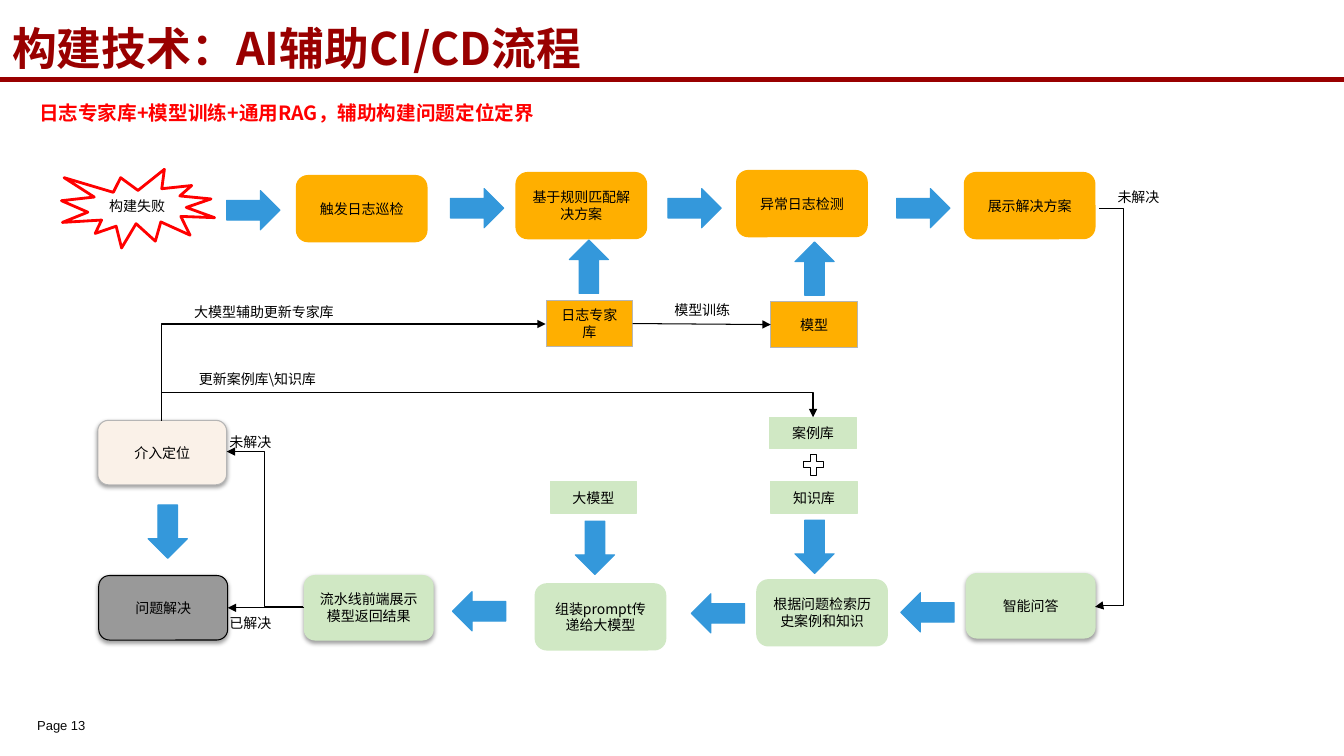
from dataclasses import dataclass

from lxml.etree import SubElement
from pptx import Presentation
from pptx.dml.color import RGBColor
from pptx.enum.shapes import MSO_CONNECTOR as LINE, MSO_SHAPE as KIND
from pptx.enum.text import MSO_ANCHOR, MSO_AUTO_SIZE, PP_ALIGN
from pptx.oxml.ns import qn
from pptx.util import Pt

PX = 9144  # 100 px to the inch
FACE = "Noto Sans CJK SC"
ORANGE, GREEN, BLUE = "FFAF00", "D0E8C4", "3498DB"
GREY, BLACK, RED, MAROON = "B5B5B5", "000000", "FF0000", "990000"


@dataclass
class Box:
    text: str
    left: int
    top: int
    fill: str | None
    edge: str
    wide: int = 128
    high: int = 64
    kind: KIND = KIND.ROUNDED_RECTANGLE
    weight: float = 0.75
    shade: bool = False


@dataclass
class Arrow:
    left: int
    top: int
    turn: int = 0


@dataclass
class Label:
    text: str
    left: int
    top: int
    wide: int


@dataclass
class Elbow:
    """Ends are given before the turn; bends are fractions of the span."""
    preset: str
    start: tuple[int, int]
    end: tuple[int, int]
    turn: int
    bends: tuple[float, ...] = ()


BOXES = [
    Box("构建失败", 61, 168, None, RED, 152, 78, KIND.EXPLOSION1, 2),
    # Rule-based row
    Box("触发日志巡检", 295, 175, ORANGE, ORANGE, weight=2),
    Box("基于规则匹配解决方案", 513, 172, ORANGE, ORANGE, weight=2),
    Box("异常日志检测", 732, 170, ORANGE, ORANGE, weight=2),
    Box("展示解决方案", 958, 172, ORANGE, ORANGE, weight=2),
    # Sources
    Box("日志专家库", 542, 298, ORANGE, GREY, 86, 46, KIND.RECTANGLE),
    Box("模型", 765, 299, ORANGE, GREY, 86, 46, KIND.RECTANGLE),
    Box("案例库", 764, 414, GREEN, GREEN, 86, 31, KIND.RECTANGLE),
    Box("", 794, 447, None, BLACK, 27, 28, KIND.MATH_PLUS),
    Box("知识库", 765, 478, GREEN, GREEN, 86, 31, KIND.RECTANGLE),
    Box("大模型", 546, 478, GREEN, GREEN, 86, 31, KIND.RECTANGLE),
    # Model-based row
    Box("智能问答", 959, 569, GREEN, GREEN, shade=True),
    Box("根据问题检索历史案例和知识", 752, 576, GREEN, GREEN, weight=2),
    Box("组装prompt传递给大模型", 532, 580, GREEN, GREEN, weight=2),
    Box("流水线前端展示模型返回结果", 302, 571, GREEN, GREEN, shade=True),
    # Outcome
    Box("介入定位", 97, 417, "FAF1E8", GREY, shade=True),
    Box("问题解决", 98, 571, "999999", BLACK, shade=True),
]

ARROWS = [
    Arrow(225, 189), Arrow(447, 187), Arrow(663, 187), Arrow(890, 187),
    Arrow(558, 245, 270), Arrow(782, 247, 270),
    Arrow(782, 523, 90), Arrow(564, 524, 90), Arrow(140, 508, 90),
    Arrow(894, 588, 180), Arrow(686, 589, 180), Arrow(449, 587, 180),
]

LABELS = [
    Label("未解决", 217, 425, 63),
    Label("已解决", 217, 605, 63),
    Label("更新案例库\\知识库", 164, 363, 183),
    Label("大模型辅助更新专家库", 174, 296, 176),
    Label("模型训练", 649, 294, 96),
    Label("未解决", 1082, 182, 96),
]

ELBOWS = [
    Elbow("bentConnector2", (399, 560), (303, 179), 90),
    Elbow("bentConnector3", (485, 739), (482, 92), 90, (28 / 3,)),
    Elbow("bentConnector3", (225, 448), (301, 602), 180, (0.5,)),
    Elbow("bentConnector4", (1091, 207), (1087, 602), 0, (-6, 0.997)),
]


def paint(color: str) -> RGBColor:
    return RGBColor.from_string(color)


def write(frame, text: str, size: float = 10, color: str = BLACK,
          align=PP_ALIGN.CENTER, face: str = FACE, bold: bool = False) -> None:
    frame.word_wrap = True
    frame.text = text
    para = frame.paragraphs[0]
    para.alignment = align
    font = para.font
    font.size, font.bold, font.name = Pt(size), bold, face
    font.color.rgb = paint(color)
    SubElement(font._element, qn("a:ea"), typeface=face)


def place(slide, left: int, top: int, wide: int, high: int):
    area = (left * PX, top * PX, wide * PX, high * PX)
    return slide.shapes.add_textbox(*area).text_frame


def draw(slide, box: Box, turn: int = 0):
    shape = slide.shapes.add_shape(box.kind, box.left * PX, box.top * PX,
                                   box.wide * PX, box.high * PX)
    shape.rotation = turn
    shape.shadow.inherit = False
    if box.fill:
        shape.fill.solid()
        shape.fill.fore_color.rgb = paint(box.fill)
    else:
        shape.fill.background()
    shape.line.color.rgb = paint(box.edge)
    shape.line.width = Pt(box.weight)
    if box.shade:
        effect = shape._element.spPr.find(qn("a:effectLst"))
        cast = SubElement(effect, qn("a:outerShdw"), blurRad="40000",
                          dist="20000", dir="5400000", rotWithShape="0")
        tint = SubElement(cast, qn("a:srgbClr"), val=BLACK)
        SubElement(tint, qn("a:alpha"), val="38000")
    if box.text:
        write(shape.text_frame, box.text)
    return shape


def link(slide, kind, start: tuple[int, int], end: tuple[int, int],
         color: str = BLACK, weight: float = 0.75, head: bool = True):
    line = slide.shapes.add_connector(kind, *(n * PX for n in start + end))
    line.line.color.rgb = paint(color)
    line.line.width = Pt(weight)
    if head:
        SubElement(line.line._get_or_add_ln(), qn("a:tailEnd"), type="triangle")
    SubElement(line._element.spPr, qn("a:effectLst"))
    return line


def bend(slide, elbow: Elbow) -> None:
    props = link(slide, LINE.ELBOW, elbow.start, elbow.end)._element.spPr
    props.find(qn("a:xfrm")).set("rot", str(elbow.turn * 60000))
    geom = props.find(qn("a:prstGeom"))
    geom.set("prst", elbow.preset)
    guides = geom.find(qn("a:avLst"))
    for i, part in enumerate(elbow.bends, 1):
        SubElement(guides, qn("a:gd"), name=f"adj{i}",
                   fmla=f"val {round(part * 100000)}")


def main() -> None:
    deck = Presentation()
    deck.slide_width, deck.slide_height = 1334 * PX, 750 * PX
    slide = deck.slides.add_slide(deck.slide_layouts[5])

    # Title, rule, subtitle and page number
    title = slide.shapes.title
    title.left, title.top, title.width, title.height = 0, 0, 1130 * PX, 95 * PX
    frame = title.text_frame
    frame.auto_size = MSO_AUTO_SIZE.NONE
    frame.vertical_anchor = MSO_ANCHOR.MIDDLE
    frame.margin_left = frame.margin_right = 12 * PX
    frame.margin_top = frame.margin_bottom = 6 * PX
    write(frame, "构建技术：AI辅助CI/CD流程", 32, MAROON, PP_ALIGN.LEFT, bold=True)
    link(slide, LINE.STRAIGHT, (0, 79), (1334, 79), MAROON, 3.25, False)
    write(place(slide, 29, 95, 1157, 34),
          "日志专家库+模型训练+通用RAG，辅助构建问题定位定界",
          14, RED, PP_ALIGN.LEFT, bold=True)
    page = place(slide, 37, 698, 63, 44)
    page.margin_left = page.margin_right = page.margin_top = page.margin_bottom = 0
    page.vertical_anchor = MSO_ANCHOR.MIDDLE
    write(page, "Page 13", 9.3, "080808", PP_ALIGN.LEFT, "Arial")

    # Steps, block arrows and labels
    steps = {box.text: draw(slide, box) for box in BOXES}
    for item in ARROWS:
        draw(slide, Box("", item.left, item.top, BLUE, BLUE, 53, 39,
                        KIND.RIGHT_ARROW), item.turn)
    for label in LABELS:
        write(place(slide, label.left, label.top, label.wide, 27), label.text)

    # Thin arrows
    for elbow in ELBOWS:
        bend(slide, elbow)
    train = link(slide, LINE.STRAIGHT, (628, 321), (765, 322))
    train.begin_connect(steps["日志专家库"], 3)
    train.end_connect(steps["模型"], 1)
    solve = link(slide, LINE.STRAIGHT, (302, 603), (226, 603))
    solve.begin_connect(steps["流水线前端展示模型返回结果"], 1)
    solve.end_connect(steps["问题解决"], 3)
    deck.save("out.pptx")


if __name__ == "__main__":
    main()
